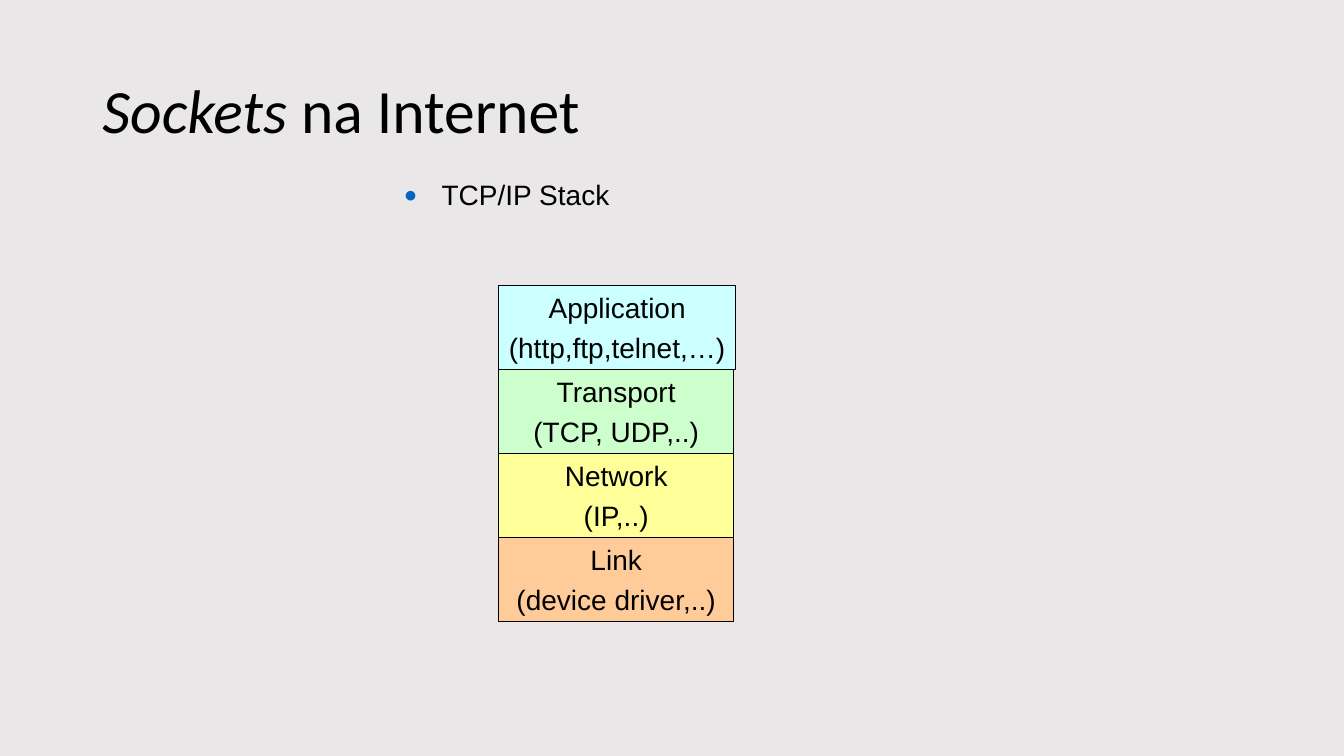
from dataclasses import dataclass

from lxml.etree import SubElement
from pptx import Presentation
from pptx.dml.color import RGBColor
from pptx.enum.shapes import MSO_SHAPE
from pptx.enum.text import MSO_ANCHOR, PP_ALIGN
from pptx.oxml.ns import qn
from pptx.util import Cm, Pt


@dataclass(frozen=True)
class Theme:
    """Colours, fonts and type sizes of the deck."""

    background: str = "E9E7E7"
    ink: str = "000000"
    bullet: str = "0563C1"
    application: str = "CCFFFF"
    transport: str = "CCFFCC"
    network: str = "FFFF99"
    link: str = "FFCC99"
    title_font: str = "Calibri"
    body_font: str = "Arial"
    title_size: int = 44
    body_size: int = 20
    line_width: int = 1


THEME = Theme()
LAYERS = (
    ("Application", "(http,ftp,telnet,…)", THEME.application, 5.97),
    ("Transport", "(TCP, UDP,..)", THEME.transport, 5.92),
    ("Network", "(IP,..)", THEME.network, 5.92),
    ("Link", "(device driver,..)", THEME.link, 5.92),
)


def colour(code):
    """Turn a hexadecimal code into a colour."""
    return RGBColor.from_string(code)


def write(para, text, font=THEME.body_font, size=THEME.body_size, italic=False):
    """Add one formatted span of text to a paragraph."""
    span = para.add_run()
    span.text = text
    span.font.name = font
    span.font.size = Pt(size)
    span.font.italic = italic
    span.font.color.rgb = colour(THEME.ink)


def add_text_box(slide, left, top, width, height, anchor, line_spacing):
    """Add a wrapping text box and return its first paragraph."""
    frame = slide.shapes.add_textbox(Cm(left), Cm(top), Cm(width), Cm(height)).text_frame
    frame.word_wrap = True
    frame.vertical_anchor = anchor
    para = frame.paragraphs[0]
    para.line_spacing = line_spacing
    return para


def add_title(slide, left, top, width, height):
    """Place the slide title in the given box."""
    para = add_text_box(slide, left, top, width, height, MSO_ANCHOR.MIDDLE, 0.9)
    for text, italic in (("Sockets", True), (" na Internet", False)):
        write(para, text, font=THEME.title_font, size=THEME.title_size, italic=italic)


def add_topic(slide, left, top, width, height):
    """Place the bulleted topic in the given box."""
    para = add_text_box(slide, left, top, width, height, MSO_ANCHOR.TOP, 0.8)
    write(para, "TCP/IP Stack")
    properties = para._p.get_or_add_pPr()
    properties.set("marL", str(Cm(0.95)))
    properties.set("indent", str(Cm(-0.95)))
    bullet_colour = SubElement(properties, qn("a:buClr"))
    SubElement(bullet_colour, qn("a:srgbClr")).set("val", THEME.bullet)
    SubElement(properties, qn("a:buSzPct")).set("val", "80000")
    SubElement(properties, qn("a:buFont")).set("typeface", THEME.body_font)
    SubElement(properties, qn("a:buChar")).set("char", "●")


def add_stack(slide, left, top, height):
    """Stack the protocol layers evenly from the top of the given box."""
    pitch = height / len(LAYERS)
    for index, (name, examples, fill, width) in enumerate(LAYERS):
        box = slide.shapes.add_shape(
            MSO_SHAPE.RECTANGLE, Cm(left), Cm(top + index * pitch), Cm(width), Cm(pitch)
        )
        box.shadow.inherit = False
        box.fill.solid()
        box.fill.fore_color.rgb = colour(fill)
        box.line.color.rgb = colour(THEME.ink)
        box.line.width = Pt(THEME.line_width)
        frame = box.text_frame
        frame.word_wrap = False
        frame.vertical_anchor = MSO_ANCHOR.MIDDLE
        heading, detail = frame.paragraphs[0], frame.add_paragraph()
        detail.space_before = Pt(4.6)
        for para, text in ((heading, name), (detail, examples)):
            para.alignment = PP_ALIGN.CENTER
            write(para, text)


def main():
    """Build and save the deck."""
    deck = Presentation()
    deck.slide_width, deck.slide_height = Cm(33.87), Cm(19.05)
    slide = deck.slides.add_slide(deck.slide_layouts[6])
    slide.background.fill.solid()
    slide.background.fill.fore_color.rgb = colour(THEME.background)
    add_title(slide, left=2.33, top=1.01, width=29.21, height=3.68)
    add_stack(slide, left=12.57, top=7.19, height=8.48)
    add_topic(slide, left=9.93, top=4.52, width=11, height=2.26)
    deck.save("out.pptx")


if __name__ == "__main__":
    main()
